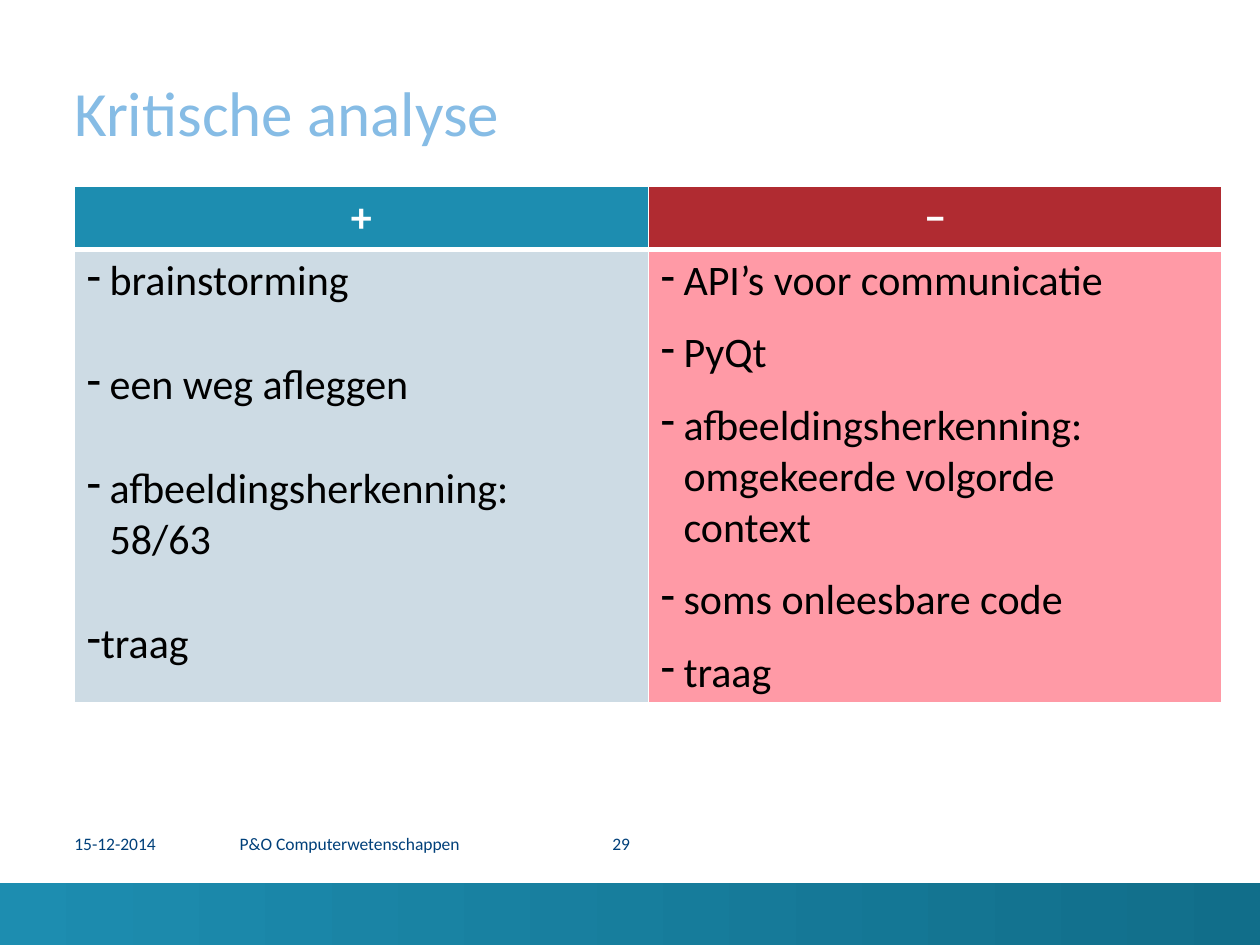
from dataclasses import dataclass

from lxml.etree import SubElement
from pptx import Presentation
from pptx.dml.color import RGBColor
from pptx.enum.shapes import MSO_SHAPE
from pptx.enum.text import MSO_ANCHOR, PP_ALIGN
from pptx.oxml.ns import qn
from pptx.util import Inches, Pt

TITLE = "Kritische analyse"
COLUMNS = [
    {
        "heading": "+",
        "header_fill": "1D8DB0",
        "body_fill": "CDDBE4",
        "space_after": 30,
        "items": [
            ("brainstorming", 0.18),
            ("een weg afleggen", 0.18),
            ("afbeeldingsherkenning:\v58/63", 0.18),
            ("traag", 0.11),
        ],
    },
    {
        "heading": "−",
        "header_fill": "B02B31",
        "body_fill": "FF9AA6",
        "space_after": 12,
        "items": [
            ("API’s voor communicatie", 0.18),
            ("PyQt", 0.18),
            ("afbeeldingsherkenning:\vomgekeerde volgorde\vcontext", 0.18),
            ("soms onleesbare code", 0.18),
            ("traag", 0.18),
        ],
    },
]
FOOTERS = [
    ("15-12-2014", 0.59, 1.02, PP_ALIGN.LEFT),
    ("P&O Computerwetenschappen", 1.71, 2.13, PP_ALIGN.CENTER),
    ("29", 3.98, 1.02, PP_ALIGN.RIGHT),
]
LEFT, CONTENT_WIDTH = 0.59, 9.11
TABLE_TOP, ROW_HEIGHTS = 1.48, (0.5, 3.6)
FOOTER_TOP, FOOTER_HEIGHT = 6.61, 0.31
BAR_TOP = 7.01


@dataclass(frozen=True)
class Theme:
    font: str = "Calibri"
    title: str = "86BCE5"
    footer: str = "00407A"
    text: str = "000000"
    white: str = "FFFFFF"
    bar_start: str = "1D8DB0"
    bar_end: str = "116E8A"
    title_size: int = 36
    table_size: int = 24
    footer_size: int = 10
    thin_border: int = 1
    thick_border: int = 3


THEME = Theme()


def write_text(paragraph, text, *, size, color, bold=False,
               align=PP_ALIGN.LEFT, space_after=0, hanging=None):
    if hanging is not None:
        properties = paragraph._p.get_or_add_pPr()
        properties.set("marL", str(Inches(hanging)))
        properties.set("indent", str(-Inches(hanging)))
        SubElement(properties, qn("a:buChar"), char="-")
    paragraph.text = text
    paragraph.alignment = align
    paragraph.space_after = Pt(space_after)
    for run in paragraph.runs:
        run.font.name = THEME.font
        run.font.size = Pt(size)
        run.font.bold = bold
        run.font.color.rgb = RGBColor.from_string(color)


def add_text_box(slide, text, left, top, width, height,
                 anchor=MSO_ANCHOR.TOP, **text_format):
    box = slide.shapes.add_textbox(
        Inches(left), Inches(top), Inches(width), Inches(height))
    frame = box.text_frame
    frame.word_wrap = True
    frame.vertical_anchor = anchor
    frame.margin_left = frame.margin_right = 0
    frame.margin_top = frame.margin_bottom = 0
    write_text(frame.paragraphs[0], text, **text_format)


def style_cell(cell, fill_color, thick_side):
    properties = cell._tc.get_or_add_tcPr()
    for side in ("lnL", "lnR", "lnT", "lnB"):
        width = THEME.thick_border if side == thick_side else THEME.thin_border
        line = SubElement(properties, qn(f"a:{side}"), w=str(Pt(width)))
        fill = SubElement(line, qn("a:solidFill"))
        SubElement(fill, qn("a:srgbClr"), val=THEME.white)
    cell.fill.solid()
    cell.fill.fore_color.rgb = RGBColor.from_string(fill_color)


def add_analysis_table(slide):
    table = slide.shapes.add_table(
        len(ROW_HEIGHTS), len(COLUMNS), Inches(LEFT), Inches(TABLE_TOP),
        Inches(CONTENT_WIDTH), Inches(sum(ROW_HEIGHTS))).table
    for row, height in zip(table.rows, ROW_HEIGHTS):
        row.height = Inches(height)
    for index, column in enumerate(COLUMNS):
        header, body = table.cell(0, index), table.cell(1, index)
        style_cell(header, column["header_fill"], "lnB")
        style_cell(body, column["body_fill"], "lnT")
        header.vertical_anchor = MSO_ANCHOR.MIDDLE
        write_text(header.text_frame.paragraphs[0], column["heading"],
                   size=THEME.table_size, color=THEME.white, bold=True,
                   align=PP_ALIGN.CENTER)
        frame = body.text_frame
        for position, (text, hanging) in enumerate(column["items"]):
            paragraph = frame.add_paragraph() if position else frame.paragraphs[0]
            write_text(paragraph, text, size=THEME.table_size, color=THEME.text,
                       space_after=column["space_after"], hanging=hanging)


def add_bottom_bar(slide):
    bar = slide.shapes.add_shape(
        MSO_SHAPE.RECTANGLE, 0, Inches(BAR_TOP), Inches(10), Inches(7.5 - BAR_TOP))
    bar.shadow.inherit = False
    bar.line.fill.background()
    bar.fill.gradient()
    bar.fill.gradient_angle = 0
    for stop, color in zip(bar.fill.gradient_stops, (THEME.bar_start, THEME.bar_end)):
        stop.color.rgb = RGBColor.from_string(color)


def main():
    presentation = Presentation()
    presentation.slide_width, presentation.slide_height = Inches(10), Inches(7.5)
    slide = presentation.slides.add_slide(presentation.slide_layouts[6])
    add_bottom_bar(slide)
    add_text_box(slide, TITLE, LEFT, 0.2, CONTENT_WIDTH, 0.98,
                 anchor=MSO_ANCHOR.BOTTOM, size=THEME.title_size, color=THEME.title)
    add_analysis_table(slide)
    for text, left, width, align in FOOTERS:
        add_text_box(slide, text, left, FOOTER_TOP, width, FOOTER_HEIGHT,
                     size=THEME.footer_size, color=THEME.footer, align=align)
    presentation.save("out.pptx")


if __name__ == "__main__":
    main()
